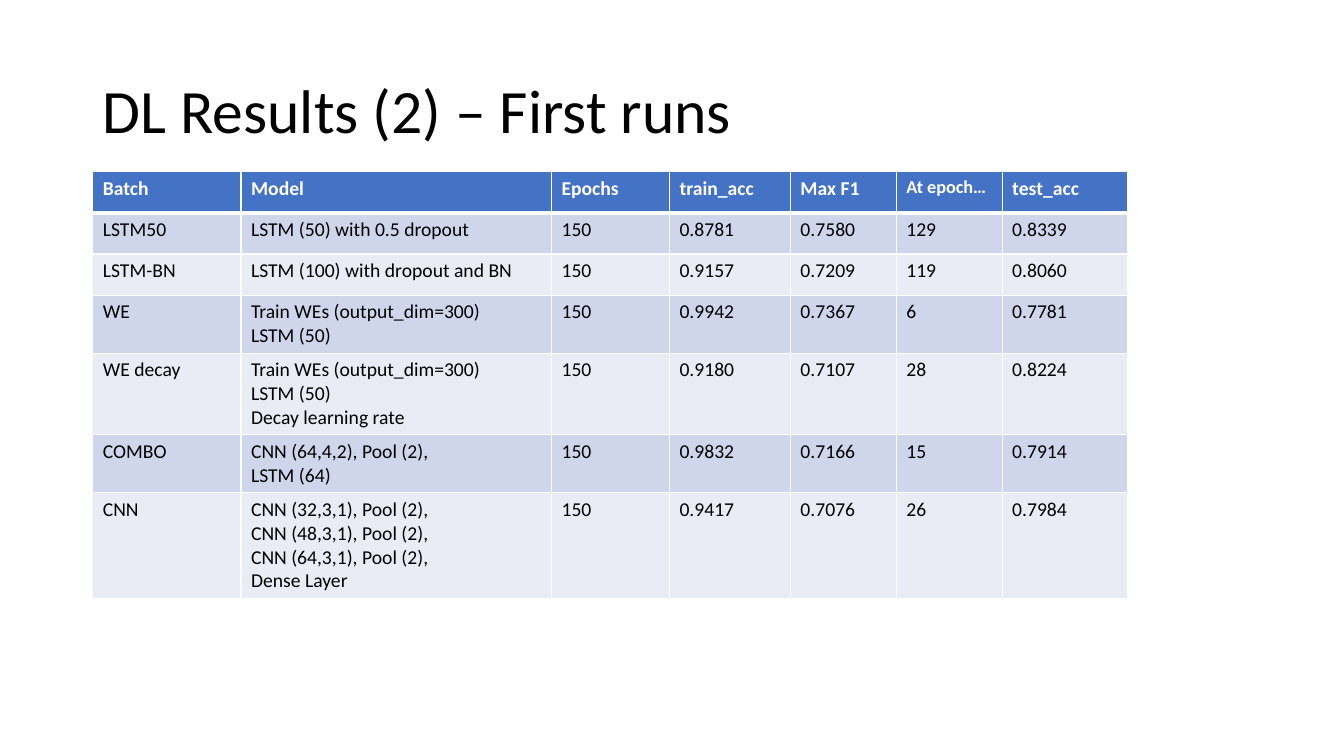
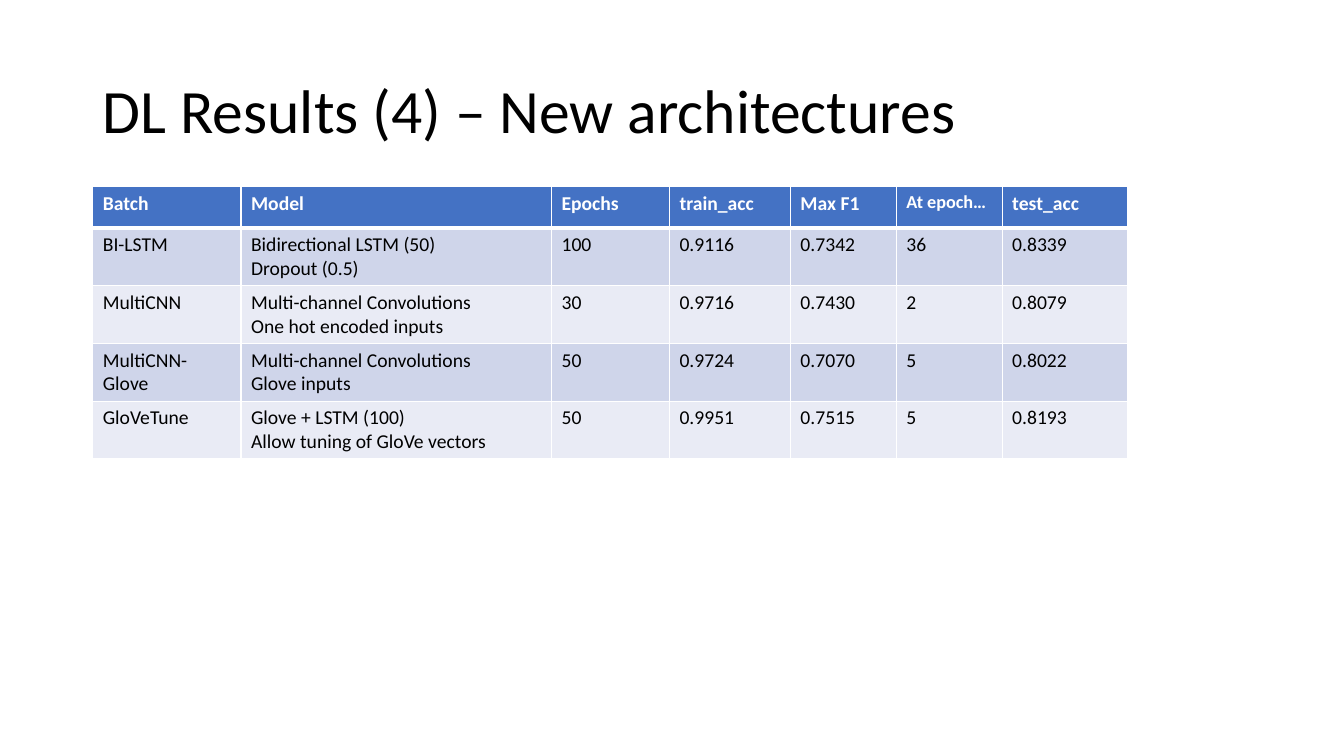
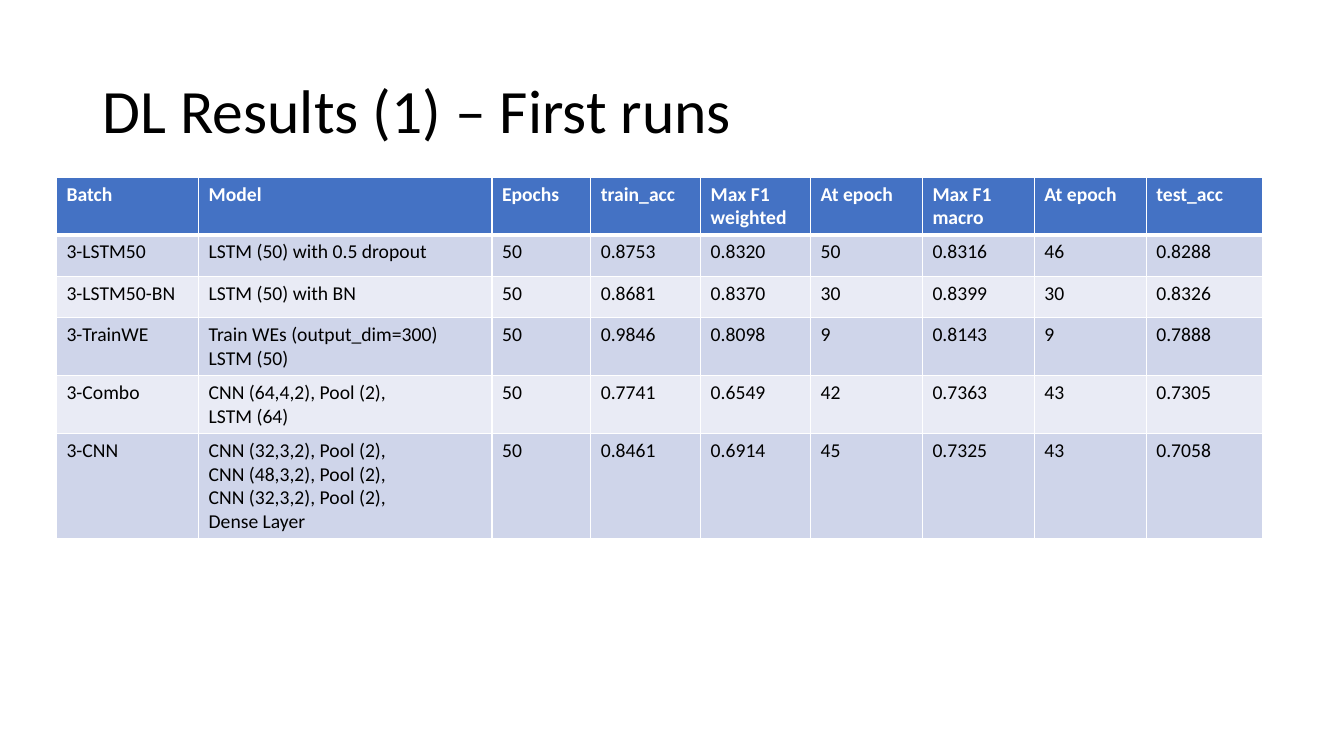
from pptx import Presentation
from pptx.dml.color import RGBColor
from pptx.enum.text import MSO_ANCHOR, PP_ALIGN
from pptx.oxml import parse_xml
from pptx.oxml.ns import nsdecls
from pptx.util import Inches, Pt

# Shared look
COLORS = {"text": "000000", "white": "FFFFFF", "header": "4472C4",
          "odd": "CFD5EA", "even": "E9EBF5"}
FONT = "Calibri"
TITLE_BOX = (0.92, 0.4, 11.5, 1.45)
ROW_HEIGHT = 0.41  # minimum; rows grow with their text

# Columns as (heading, width)
RUN_COLUMNS = [("Batch", 1.47), ("Model", 3.08), ("Epochs", 1.17),
               ("train_acc", 1.2), ("Max F1", 1.05), ("At epoch…", 1.05),
               ("test_acc", 1.24)]
MACRO_COLUMNS = [("Batch", 1.41), ("Model", 2.91), ("Epochs", 0.98),
                 ("train_acc", 1.09), ("Max F1 weighted", 1.09),
                 ("At epoch", 1.11), ("Max F1 macro", 1.11),
                 ("At epoch", 1.11), ("test_acc", 1.15)]

# Results; a line break in a cell starts a new paragraph
FIRST_RUNS = [
    ("LSTM50", "LSTM (50) with 0.5 dropout",
     "150", "0.8781", "0.7580", "129", "0.8339"),
    ("LSTM-BN", "LSTM (100) with dropout and BN",
     "150", "0.9157", "0.7209", "119", "0.8060"),
    ("WE", "Train WEs (output_dim=300)\nLSTM (50)",
     "150", "0.9942", "0.7367", "6", "0.7781"),
    ("WE decay", "Train WEs (output_dim=300)\nLSTM (50)\nDecay learning rate",
     "150", "0.9180", "0.7107", "28", "0.8224"),
    ("COMBO", "CNN (64,4,2), Pool (2),\nLSTM (64)",
     "150", "0.9832", "0.7166", "15", "0.7914"),
    ("CNN", "CNN (32,3,1), Pool (2),\nCNN (48,3,1), Pool (2),\n"
     "CNN (64,3,1), Pool (2),\nDense Layer",
     "150", "0.9417", "0.7076", "26", "0.7984"),
]
NEW_ARCHITECTURES = [
    ("BI-LSTM", "Bidirectional LSTM (50)\nDropout (0.5)",
     "100", "0.9116", "0.7342", "36", "0.8339"),
    ("MultiCNN", "Multi-channel Convolutions\nOne hot encoded inputs",
     "30", "0.9716", "0.7430", "2", "0.8079"),
    ("MultiCNN-Glove", "Multi-channel Convolutions\nGlove inputs",
     "50", "0.9724", "0.7070", "5", "0.8022"),
    ("GloVeTune", "Glove + LSTM (100)\nAllow tuning of GloVe vectors",
     "50", "0.9951", "0.7515", "5", "0.8193"),
]
MACRO_RUNS = [
    ("3-LSTM50", "LSTM (50) with 0.5 dropout",
     "50", "0.8753", "0.8320", "50", "0.8316", "46", "0.8288"),
    ("3-LSTM50-BN", "LSTM (50) with BN",
     "50", "0.8681", "0.8370", "30", "0.8399", "30", "0.8326"),
    ("3-TrainWE", "Train WEs (output_dim=300)\nLSTM (50)",
     "50", "0.9846", "0.8098", "9", "0.8143", "9", "0.7888"),
    ("3-Combo", "CNN (64,4,2), Pool (2),\nLSTM (64)",
     "50", "0.7741", "0.6549", "42", "0.7363", "43", "0.7305"),
    ("3-CNN", "CNN (32,3,2), Pool (2),\nCNN (48,3,2), Pool (2),\n"
     "CNN (32,3,2), Pool (2),\nDense Layer",
     "50", "0.8461", "0.6914", "45", "0.7325", "43", "0.7058"),
]


def rgb(name):
    return RGBColor.from_string(COLORS[name])


def set_font(p, size, color, bold=False):
    p.font.name = FONT
    p.font.size = Pt(size)
    p.font.bold = bold
    p.font.color.rgb = rgb(color)


def add_title(slide, text):
    title = slide.shapes.title
    title.left, title.top, title.width, title.height = map(Inches, TITLE_BOX)
    tf = title.text_frame
    tf.text = text
    tf.vertical_anchor = MSO_ANCHOR.MIDDLE
    p = tf.paragraphs[0]
    p.alignment = PP_ALIGN.LEFT
    p.line_spacing = 0.9
    set_font(p, 44, "text")


def set_borders(cell, top, bottom):
    """White cell borders; top and bottom are widths in points."""
    tc_pr = cell._tc.get_or_add_tcPr()
    for side, width in (("L", 1), ("R", 1), ("T", top), ("B", bottom)):
        tc_pr.append(parse_xml(
            f'<a:ln{side} {nsdecls("a")} w="{Pt(width)}"><a:solidFill>'
            f'<a:srgbClr val="{COLORS["white"]}"/></a:solidFill></a:ln{side}>'))


def fill_cell(cell, text, row):
    header = row == 0
    set_borders(cell, 3 if row == 1 else 1, 3 if header else 1)
    cell.fill.solid()
    cell.fill.fore_color.rgb = rgb(
        "header" if header else "odd" if row % 2 else "even")
    cell.text = text
    size = 13 if text == "At epoch…" else 14
    for p in cell.text_frame.paragraphs:
        set_font(p, size, "white" if header else "text", header)


def add_results_table(slide, left, top, columns, results):
    headings, widths = zip(*columns)
    rows = [headings, *results]
    table = slide.shapes.add_table(
        len(rows), len(columns), Inches(left), Inches(top),
        Inches(sum(widths)), Inches(ROW_HEIGHT * len(rows))).table
    for column, width in zip(table.columns, widths):
        column.width = Inches(width)
    for i, values in enumerate(rows):
        table.rows[i].height = Inches(ROW_HEIGHT)
        for j, text in enumerate(values):
            fill_cell(table.cell(i, j), text, i)


def main():
    prs = Presentation()
    prs.slide_width, prs.slide_height = Inches(13.33), Inches(7.5)
    title_only = prs.slide_layouts[5]

    # Title, table left and top, columns, results
    for title, left, top, columns, results in (
            ("DL Results (2) – First runs",
             0.92, 1.7, RUN_COLUMNS, FIRST_RUNS),
            ("DL Results (4) – New architectures",
             0.92, 1.85, RUN_COLUMNS, NEW_ARCHITECTURES),
            ("DL Results (1) – First runs",
             0.56, 1.76, MACRO_COLUMNS, MACRO_RUNS)):
        slide = prs.slides.add_slide(title_only)
        add_title(slide, title)
        add_results_table(slide, left, top, columns, results)

    prs.save("out.pptx")


if __name__ == "__main__":
    main()
